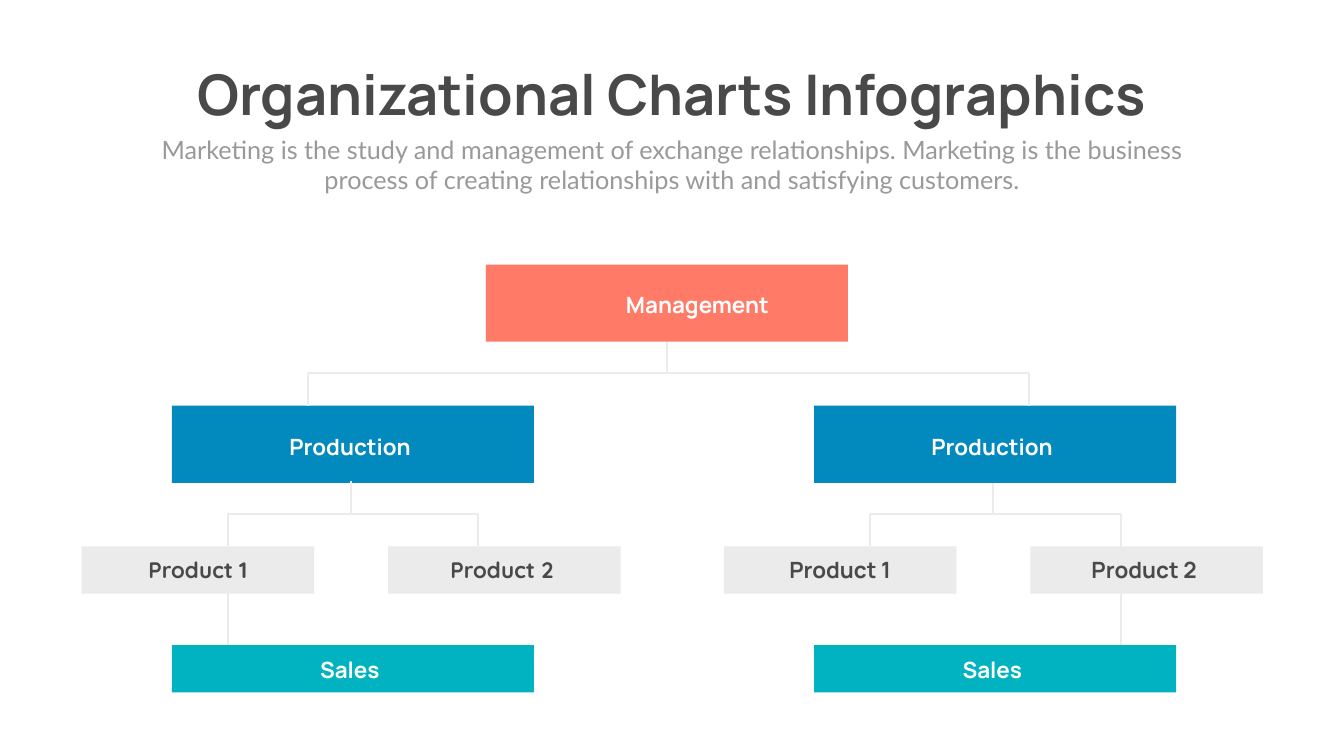
from pptx import Presentation
from pptx.dml.color import RGBColor
from pptx.enum.shapes import MSO_CONNECTOR as Connector, MSO_SHAPE as Shape
from pptx.enum.text import MSO_ANCHOR as Anchor, MSO_AUTO_SIZE as AutoSize, PP_ALIGN as Align
from pptx.oxml.ns import qn
from pptx.util import Inches, Pt
from lxml.etree import SubElement

# Content
TITLE = "Organizational Charts Infographics"
SUBTITLE = ("Marketing is the study and management of exchange relationships. "
            "Marketing is the business process of creating relationships with "
            "and satisfying customers.")
DARK, GREY, WHITE, PALE = "494949", "999999", "FFFFFF", "EBEBEB"
CORAL, BLUE, TEAL = "FF7A67", "0289BD", "01B2C0"

# Formats
TITLE_FORMAT = {"name": "Manrope", "size": Pt(80), "bold": True}
SUBTITLE_FORMAT = {"name": "Lato", "size": Pt(36), "bold": False}
LABEL_FORMAT = {"name": "Manrope", "size": Pt(32), "bold": True}

# Chart geometry in inches; each department repeats one pitch to the right
PITCH = 12.74
WIDE, NARROW = 7.18, 4.61
TALL, SHORT = 1.53, 0.94
LABEL_HEIGHT = 0.64
TOP_RAIL, LOWER_RAIL = 7.4, 10.19
HEAD_TOP, PRODUCT_TOP, SALES_TOP = 8.05, 10.84, 12.8
PRODUCTS = [  # text, box left, label left
    ("Product 1", 1.62, 2.03),
    ("Product 2", 7.7, 8.06),
]
DEPARTMENTS = [  # label spans are (left, width); sales hangs from one product
    {"head": (5.29, 3.31), "sales": (3.92, 6.04), "font": "Quicksand",
     "drop": 6.11, "stem_top": 9.55, "sales_line": 4.52},
    {"head": (16.88, 5.6), "sales": (17.5, 4.37), "font": "Manrope",
     "drop": 20.41, "stem_top": 9.58, "sales_line": 22.23},
]


def rgb(code):
    return RGBColor.from_string(code)


def write(box, text, formats, color, wrap=True):
    frame = box.text_frame
    frame.word_wrap = wrap
    frame.auto_size = AutoSize.SHAPE_TO_FIT_TEXT
    frame.vertical_anchor = Anchor.TOP
    para = frame.paragraphs[0]
    para.alignment = Align.CENTER
    para.space_before = Pt(0)
    span = para.add_run()
    span.text = text
    for key, value in formats.items():
        setattr(span.font, key, value)
    span.font.color.rgb = rgb(color)


def fill_placeholder(box, place, *content, **options):
    box.left, box.top, box.width, box.height = map(Inches, place)
    write(box, *content, **options)


def add_label(page, text, left, top, width, color, font="Manrope"):
    box = page.shapes.add_textbox(*map(Inches, (left, top, width, LABEL_HEIGHT)))
    write(box, text, {**LABEL_FORMAT, "name": font}, color)


def add_box(page, left, top, width, height, color):
    box = page.shapes.add_shape(Shape.ROUNDED_RECTANGLE,
                                *map(Inches, (left, top, width, height)))
    box.adjustments[0] = 0
    box.shadow.inherit = False
    box.fill.solid()
    box.fill.fore_color.rgb = rgb(color)
    box.line.fill.background()
    return box


def add_line(page, x1, y1, x2, y2):
    line = page.shapes.add_connector(Connector.STRAIGHT, *map(Inches, (x1, y1, x2, y2)))
    line.line.color.rgb = rgb(PALE)
    line.line.width = Pt(3)
    SubElement(line._element.spPr, qn("a:effectLst"))
    return line


def add_department(page, index, department):
    shift = index * PITCH
    drops = [4.52 + shift, 9.49 + shift]

    # Boxes
    add_box(page, 3.41 + shift, HEAD_TOP, WIDE, TALL, BLUE)
    add_box(page, 3.41 + shift, SALES_TOP, WIDE, SHORT, TEAL)
    for text, left, label_left in PRODUCTS:
        add_box(page, left + shift, PRODUCT_TOP, NARROW, SHORT, PALE)
        add_label(page, text, label_left + shift, 10.99, 3.79, DARK, department["font"])

    # Labels
    for text, key, top in (("Production", "head", 8.55), ("Sales", "sales", 12.97)):
        left, width = department[key]
        add_label(page, text, left, top, width, WHITE)

    # Lines
    add_line(page, department["drop"], TOP_RAIL, department["drop"], HEAD_TOP)
    add_line(page, 6.96 + shift, department["stem_top"], 6.96 + shift, LOWER_RAIL)
    add_line(page, drops[0], LOWER_RAIL, drops[1], LOWER_RAIL)
    for x in drops:
        add_line(page, x, LOWER_RAIL, x, PRODUCT_TOP)
    add_line(page, department["sales_line"], 11.74, department["sales_line"], SALES_TOP)


def main():
    deck = Presentation()
    deck.slide_width, deck.slide_height = Inches(26.66), Inches(15)
    page = deck.slides.add_slide(deck.slide_layouts[0])

    # Heading
    fill_placeholder(page.shapes.title, (3.02, 1.14, 20.62, 1.45),
                     TITLE, TITLE_FORMAT, DARK, wrap=False)
    fill_placeholder(page.placeholders[1], (2.92, 2.61, 20.82, 1.31),
                     SUBTITLE, SUBTITLE_FORMAT, GREY)

    # Management
    add_line(page, DEPARTMENTS[0]["drop"], TOP_RAIL, DEPARTMENTS[1]["drop"], TOP_RAIL)
    management = add_box(page, 9.64, 5.25, WIDE, TALL, CORAL)
    add_label(page, "Management", 12.18, 5.73, 3.31, WHITE)
    stem = add_line(page, 13.23, 6.78, 13.23, TOP_RAIL)
    stem.begin_connect(management, 2)

    # Departments
    for index, department in enumerate(DEPARTMENTS):
        add_department(page, index, department)

    deck.save("out.pptx")


if __name__ == "__main__":
    main()
